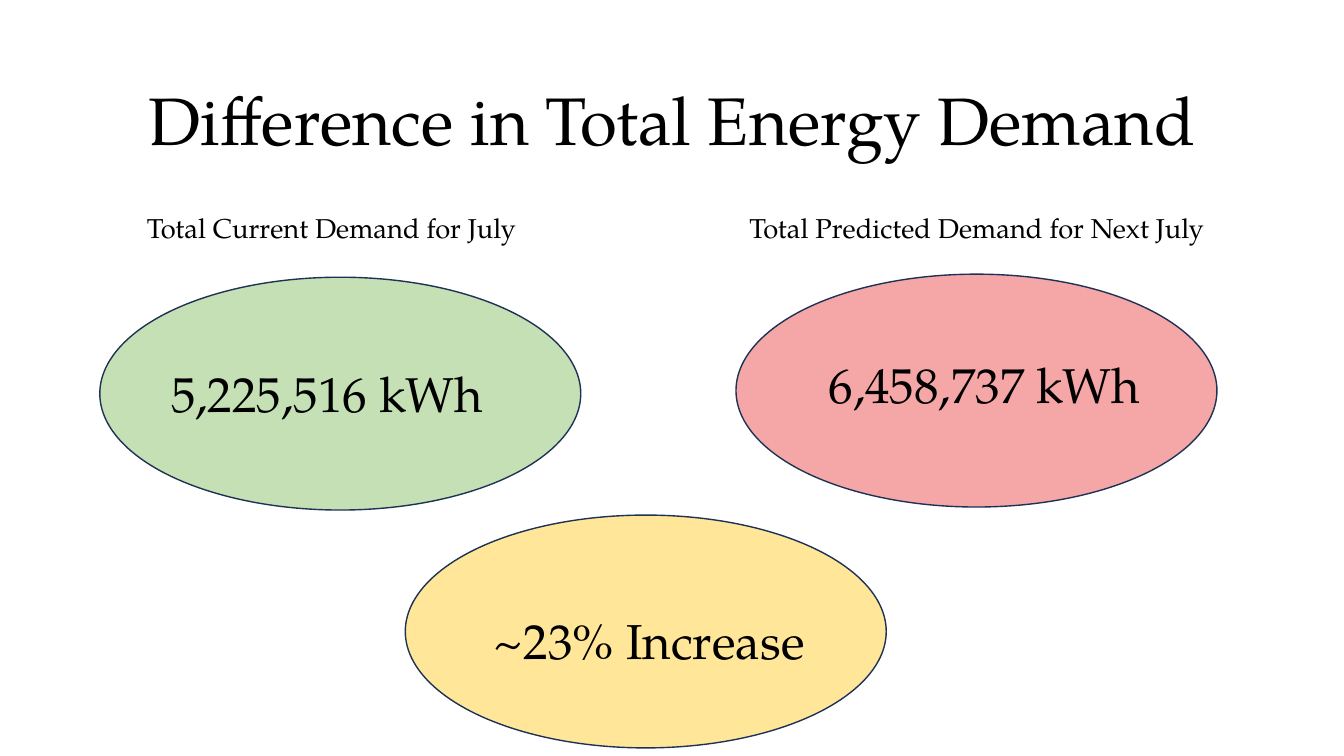
"""Build a slide comparing current and predicted July energy demand."""
from pptx import Presentation
from pptx.dml.color import RGBColor
from pptx.enum import shapes, text
from pptx.util import Inches, Pt

FONT = "TeX Gyre Pagella"
COLORS = {
    "background": "FFFFFF",
    "text": "000000",
    "outline": "1E3256",
    "current": "C5E0B4",
    "predicted": "F5A6A6",
    "increase": "FFE699",
}


def rgb(name):
    return RGBColor.from_string(COLORS[name])


def write(box, wording, size, heading=True):
    frame = box.text_frame
    frame.text = wording
    frame.word_wrap = True
    para = frame.paragraphs[0]
    para.font.name = FONT
    para.font.size = Pt(size)
    para.font.color.rgb = rgb("text")
    if heading:
        frame.auto_size = text.MSO_AUTO_SIZE.NONE
        frame.vertical_anchor = text.MSO_ANCHOR.BOTTOM
        para.alignment = text.PP_ALIGN.CENTER
        para.line_spacing = 0.9
    else:
        frame.auto_size = text.MSO_AUTO_SIZE.SHAPE_TO_FIT_TEXT


deck = Presentation()
deck.slide_width = Inches(13.33)
deck.slide_height = Inches(7.5)
page = deck.slides.add_slide(deck.slide_layouts[5])
page.background.fill.solid()
page.background.fill.fore_color.rgb = rgb("background")

title = page.shapes.title
title.left, title.top = Inches(1.1), Inches(0.19)
title.width, title.height = Inches(11.13), Inches(1.45)
write(title, "Difference in Total Energy Demand", 48)

captions = [
    (0, "Total Current Demand for July"),
    (6.4, "Total Predicted Demand for Next July"),
]
for left, wording in captions:
    caption = page.shapes.add_textbox(
        Inches(left), Inches(1.02), Inches(6.58), Inches(1.45))
    write(caption, wording, 19.5)

figures = [
    ("current", 0.99, 2.75, "5,225,516 kWh", 1.6, 3.56, 3.36),
    ("predicted", 7.3, 2.72, "6,458,737 kWh", 8.12, 3.47, 3.38),
    ("increase", 4.02, 5.11, "~23% Increase", 4.8, 6.01, 3.31),
]
for color, left, top, wording, text_left, text_top, text_width in figures:
    oval = page.shapes.add_shape(
        shapes.MSO_SHAPE.OVAL,
        Inches(left), Inches(top), Inches(4.77), Inches(2.31))
    oval.shadow.inherit = False
    oval.fill.solid()
    oval.fill.fore_color.rgb = rgb(color)
    oval.line.color.rgb = rgb("outline")
    oval.line.width = Pt(1)
    value = page.shapes.add_textbox(
        Inches(text_left), Inches(text_top), Inches(text_width), Inches(0.69))
    write(value, wording, 35, heading=False)

deck.save("out.pptx")
